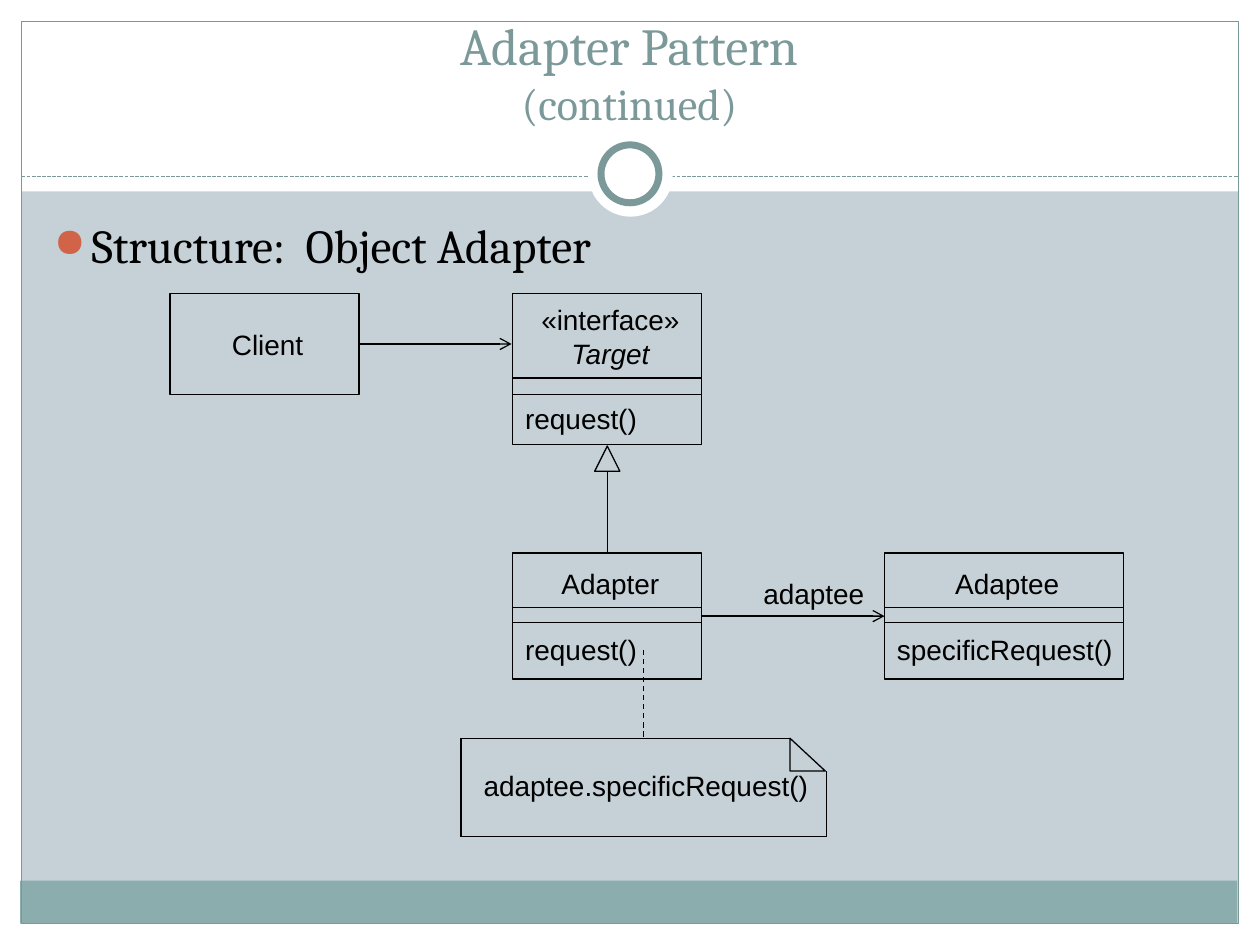
from lxml import etree
from pptx import Presentation
from pptx.dml.color import RGBColor
from pptx.enum.dml import MSO_LINE
from pptx.enum.shapes import MSO_CONNECTOR, MSO_SHAPE
from pptx.enum.text import MSO_ANCHOR, PP_ALIGN
from pptx.oxml.ns import qn
from pptx.util import Inches, Pt

RECT, OVAL = MSO_SHAPE.RECTANGLE, MSO_SHAPE.OVAL
PEAK, FOLD = MSO_SHAPE.ISOSCELES_TRIANGLE, MSO_SHAPE.RIGHT_TRIANGLE
LEFT, MID = PP_ALIGN.LEFT, PP_ALIGN.CENTER
TOP, CENTER, BOTTOM = MSO_ANCHOR.TOP, MSO_ANCHOR.MIDDLE, MSO_ANCHOR.BOTTOM
STRAIGHT = MSO_CONNECTOR.STRAIGHT
DASH, DOTS = MSO_LINE.DASH, MSO_LINE.SQUARE_DOT

BLACK = RGBColor(0, 0, 0)
WHITE = RGBColor(255, 255, 255)
SKY = RGBColor(0xC5, 0xD1, 0xD7)
TEAL = RGBColor(0x8C, 0xAD, 0xAE)
SLATE = RGBColor(0x7C, 0x99, 0x9A)

# left, top, width, height, fill
BANDS = [
    (0, 7.33, 10, 0.17, WHITE),
    (0, 0, 10, 1.52, WHITE),
    (0, 0, 0.17, 7.5, WHITE),
    (9.83, 0, 0.17, 7.5, WHITE),
    (0.16, 6.99, 9.66, 0.34, TEAL),
]

# left, top, width, height, divider heights, name lines (text, italic), method
CLASSES = [
    (4.07, 2.33, 1.5, 1.2, (3, 3.13),
     [("«interface»", False), ("Target", True)], "request()"),
    (4.07, 4.39, 1.5, 1, (4.82, 4.94), [("Adapter", False)], "request()"),
    (7.02, 4.39, 1.9, 1, (4.82, 4.94), [("Adaptee", False)],
     "specificRequest()"),
    (1.35, 2.33, 1.5, 0.8, (), [("Client", False)], None),
]

# from x, from y, to x, to y, arrowhead, dash
LINKS = [
    (4.82, 4.39, 4.82, 3.74, False, None),
    (5.57, 4.89, 7.02, 4.89, True, None),
    (2.86, 2.73, 4.06, 2.73, True, None),
    (5.11, 5.16, 5.11, 5.86, False, DASH),
]

# left, top, width, height, anchor, text
LABELS = [
    (3.74, 5.84, 2.8, 0.78, CENTER, "adaptee.specificRequest()"),
    (5.96, 4.53, 1, 0.37, TOP, "adaptee"),
]

# the note outline, from the fold round to its lower edge
NOTE = [(6.27, 5.86), (3.66, 5.86), (3.66, 6.64), (6.56, 6.64), (6.56, 6.12)]

deck = Presentation()
deck.slide_width, deck.slide_height = Inches(10), Inches(7.5)
slide = deck.slides.add_slide(deck.slide_layouts[6])
slide.background.fill.solid()
slide.background.fill.fore_color.rgb = SKY


def add_box(kind, x, y, w, h, fill=None, line=None, width=0.75):
    """Add a preset shape with an optional fill and outline."""
    box = slide.shapes.add_shape(kind, *map(Inches, (x, y, w, h)))
    box.shadow.inherit = False
    if fill is None:
        box.fill.background()
    else:
        box.fill.solid()
        box.fill.fore_color.rgb = fill
    if line is None:
        box.line.fill.background()
    else:
        box.line.color.rgb = line
        box.line.width = Pt(width)
    return box


def add_line(x1, y1, x2, y2, arrow=False, dash=None, color=BLACK):
    """Add a thin straight line, with an open arrowhead if asked."""
    link = slide.shapes.add_connector(
        STRAIGHT, *map(Inches, (x1, y1, x2, y2)))
    link.line.color.rgb = color
    link.line.width = Pt(0.75)
    if dash is not None:
        link.line.dash_style = dash
    if arrow:
        tail = etree.SubElement(link.line._get_or_add_ln(), qn("a:tailEnd"))
        tail.set("type", "arrow")
    etree.SubElement(link._element.spPr, qn("a:effectLst"))


def add_text(x, y, w, h, anchor):
    """Add an empty wrapping text box and return its frame."""
    box = slide.shapes.add_textbox(*map(Inches, (x, y, w, h)))
    frame = box.text_frame
    frame.word_wrap = True
    frame.vertical_anchor = anchor
    return frame


def set_text(par, text, size=16, face="Arial", color=BLACK, align=LEFT):
    """Write a paragraph in one font."""
    par.text = text
    par.alignment = align
    par.font.size = Pt(size)
    par.font.name = face
    par.font.color.rgb = color


def add_class(x, y, w, h, splits, names, method):
    """Add a class box with its dividers, name and method."""
    frame = add_box(RECT, x, y, w, h, line=BLACK).text_frame
    frame.word_wrap = True
    frame.vertical_anchor = CENTER
    frame.margin_right = Inches(0.05)
    par = frame.paragraphs[0]
    for i, (name, slant) in enumerate(names):
        if i:
            par = frame.add_paragraph()
        set_text(par, name, align=MID)
        par.font.italic = slant
    if method:
        par = frame.add_paragraph()
        set_text(par, method)
        par.space_before = Pt(18.4)
    for level in splits:
        add_line(x, level, x + w, level)


def add_bullet(par):
    """Give a paragraph a round red bullet and a hanging indent."""
    props = par._p.get_or_add_pPr()
    props.set("marL", str(Inches(0.3)))
    props.set("indent", str(-Inches(0.3)))
    tint = etree.SubElement(props, qn("a:buClr"))
    etree.SubElement(tint, qn("a:srgbClr")).set("val", "D16349")
    etree.SubElement(props, qn("a:buSzPct")).set("val", "85000")
    etree.SubElement(props, qn("a:buChar")).set("char", "●")


for *place, fill in BANDS:
    add_box(RECT, *place, fill=fill)
add_box(RECT, 0.17, 0.17, 9.66, 7.16, line=SLATE)
add_line(0.17, 1.4, 9.83, 1.4, dash=DOTS, color=SLATE)
add_box(OVAL, 4.67, 1.05, 0.67, 0.67, fill=WHITE)
add_box(OVAL, 4.77, 1.15, 0.46, 0.46, fill=WHITE, line=SLATE, width=4)

title = add_text(0.33, 0.25, 9.33, 0.83, BOTTOM).paragraphs[0]
set_text(title, "Adapter Pattern\v(continued)", 29.7, "Cambria", SLATE, MID)
title.runs[1].font.size = Pt(25.2)
title.line_spacing = Pt(31)

body = add_text(0.33, 1.67, 9.3, 5, TOP).paragraphs[0]
set_text(body, "Structure:  Object Adapter", 27, "Cambria")
add_bullet(body)

for spec_row in CLASSES:
    add_class(*spec_row)
add_box(PEAK, 4.72, 3.54, 0.2, 0.2, line=BLACK)
for link in LINKS:
    add_line(*link)

add_box(FOLD, 6.27, 5.86, 0.28, 0.26, line=BLACK)
for start, end in zip(NOTE, NOTE[1:]):
    add_line(*start, *end)
for *place, text in LABELS:
    frame = add_text(*place)
    frame.margin_right = 0
    set_text(frame.paragraphs[0], text)

deck.save("out.pptx")
